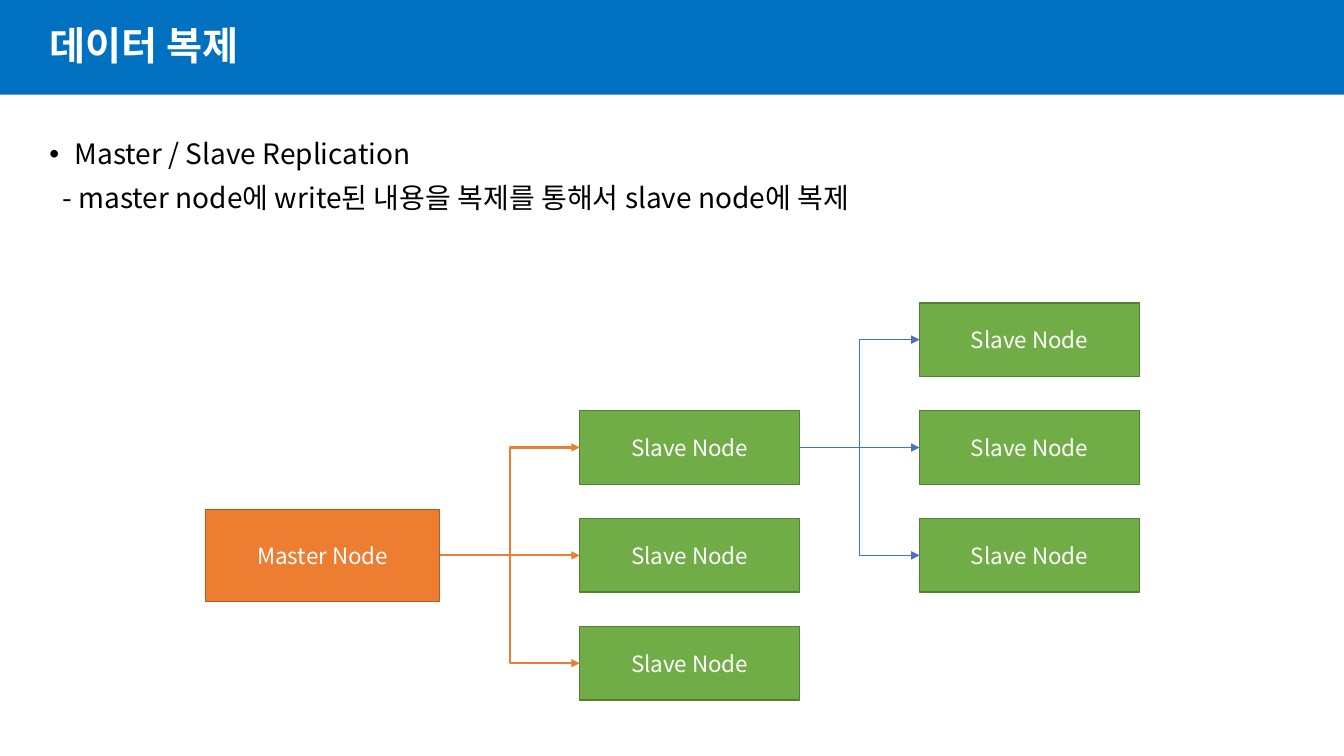
from dataclasses import dataclass

from lxml import etree
from pptx import Presentation
from pptx import util as u
from pptx.dml.color import RGBColor
from pptx.enum import shapes, text
from pptx.oxml import ns

FONT = "Noto Sans CJK KR"
COLORS = {
    "banner": "0070C0", "white": "FFFFFF", "black": "000000",
    "master": "ED7D31", "master_edge": "AF5C24",
    "slave": "70AD47", "slave_edge": "538035", "relay": "4472C4",
}
MASTER_Y = 5.51
ROW_PITCH = 1.07


@dataclass(frozen=True)
class NodeStyle:
    label: str
    width: float
    height: float
    fill: str
    edge: str


@dataclass(frozen=True)
class Replication:
    """One source node feeding a column of three slaves centred on its row."""
    slave_left: float
    center_y: float
    color: str
    weight: float


@dataclass(frozen=True)
class BodyLine:
    content: str
    margin: float
    indent: float
    bullet: str = ""


MASTER = NodeStyle("Master Node", 2.32, 0.91, "master", "master_edge")
SLAVE = NodeStyle("Slave Node", 2.18, 0.73, "slave", "slave_edge")
FROM_MASTER = Replication(5.75, MASTER_Y, "master", 1.5)
FROM_SLAVE = Replication(9.12, MASTER_Y - ROW_PITCH, "relay", 1)
BODY_LINES = [
    BodyLine("Master / Slave Replication", 0.25, -0.25, "•"),
    BodyLine("- master node에 write된 내용을 복제를 통해서 slave node에 복제", 0.13, 0),
]


def rgb(name: str) -> RGBColor:
    return RGBColor.from_string(COLORS[name])


def set_attributes(target, values: dict) -> None:
    for name, value in values.items():
        setattr(target, name, value)


def place(shape, left: float, top: float, width: float, height: float) -> None:
    box = {"left": left, "top": top, "width": width, "height": height}
    set_attributes(shape, {side: u.Inches(length) for side, length in box.items()})


def write(paragraph, content: str, size: float, color: str, bold: bool = False) -> None:
    """Add a run whose Latin and Korean glyphs share one font."""
    run = paragraph.add_run()
    run.text = content
    set_attributes(run.font, {"name": FONT, "size": u.Pt(size), "bold": bold})
    run.font.color.rgb = rgb(color)
    etree.SubElement(run._r.get_or_add_rPr(), ns.qn("a:ea"), typeface=FONT)


def format_paragraph(paragraph, margin: float, indent: float, bullet: str = "") -> None:
    properties = paragraph._p.get_or_add_pPr()
    properties.set("marL", str(u.Inches(margin)))
    properties.set("indent", str(u.Inches(indent)))
    if bullet:
        etree.SubElement(properties, ns.qn("a:buChar"), char=bullet)
    else:
        etree.SubElement(properties, ns.qn("a:buNone"))


def fill_title(title) -> None:
    place(title, 0, 0, 13.33, 0.94)
    title.fill.solid()
    title.fill.fore_color.rgb = rgb("banner")
    set_attributes(title.text_frame, {
        "vertical_anchor": text.MSO_ANCHOR.MIDDLE,
        "auto_size": text.MSO_AUTO_SIZE.NONE,
    })
    heading = title.text_frame.paragraphs[0]
    set_attributes(heading, {"alignment": text.PP_ALIGN.LEFT, "line_spacing": 0.9})
    format_paragraph(heading, 0.39, 0)
    write(heading, "데이터 복제", 28, "white", bold=True)


def fill_body(body) -> None:
    place(body, 0.39, 1.34, 12.55, 5.77)
    frame = body.text_frame
    frame.auto_size = text.MSO_AUTO_SIZE.NONE
    for index, line in enumerate(BODY_LINES):
        paragraph = frame.add_paragraph() if index else frame.paragraphs[0]
        set_attributes(paragraph, {"line_spacing": 0.9, "space_before": u.Pt(10)})
        format_paragraph(paragraph, line.margin, line.indent, line.bullet)
        write(paragraph, line.content, 20, "black")


def add_node(slide, style: NodeStyle, left: float, center_y: float):
    node = slide.shapes.add_shape(
        shapes.MSO_SHAPE.RECTANGLE, u.Inches(left),
        u.Inches(center_y - style.height / 2),
        u.Inches(style.width), u.Inches(style.height))
    node.shadow.inherit = False
    node.fill.solid()
    node.fill.fore_color.rgb = rgb(style.fill)
    node.line.color.rgb = rgb(style.edge)
    node.line.width = u.Pt(1)
    node.text_frame.vertical_anchor = text.MSO_ANCHOR.MIDDLE
    label = node.text_frame.paragraphs[0]
    label.alignment = text.PP_ALIGN.CENTER
    write(label, style.label, 16, "white")
    return node


def add_arrow(slide, source, target, kind, color: str, weight: float) -> None:
    """Join the source's right side to the target's left side."""
    arrow = slide.shapes.add_connector(kind, 0, 0, 0, 0)
    arrow.begin_connect(source, 3)
    arrow.end_connect(target, 1)
    arrow.line.color.rgb = rgb(color)
    arrow.line.width = u.Pt(weight)
    etree.SubElement(arrow.line._get_or_add_ln(), ns.qn("a:tailEnd"), type="triangle")
    etree.SubElement(arrow._element.spPr, ns.qn("a:effectLst"))


def add_replication(slide, source, replication: Replication) -> list:
    """Draw the slaves from top to bottom with their arrows and return them."""
    slaves = []
    for row in (-1, 0, 1):
        slave = add_node(slide, SLAVE, replication.slave_left,
                         replication.center_y + row * ROW_PITCH)
        kind = shapes.MSO_CONNECTOR.ELBOW if row else shapes.MSO_CONNECTOR.STRAIGHT
        add_arrow(slide, source, slave, kind, replication.color, replication.weight)
        slaves.append(slave)
    return slaves


def main() -> None:
    deck = Presentation()
    set_attributes(deck, {"slide_width": u.Inches(13.33), "slide_height": u.Inches(7.5)})
    slide = deck.slides.add_slide(deck.slide_layouts[1])
    fill_title(slide.shapes.title)
    fill_body(slide.placeholders[1])
    master = add_node(slide, MASTER, 2.04, MASTER_Y)
    first_slave = add_replication(slide, master, FROM_MASTER)[0]
    add_replication(slide, first_slave, FROM_SLAVE)
    deck.save("out.pptx")


if __name__ == "__main__":
    main()
